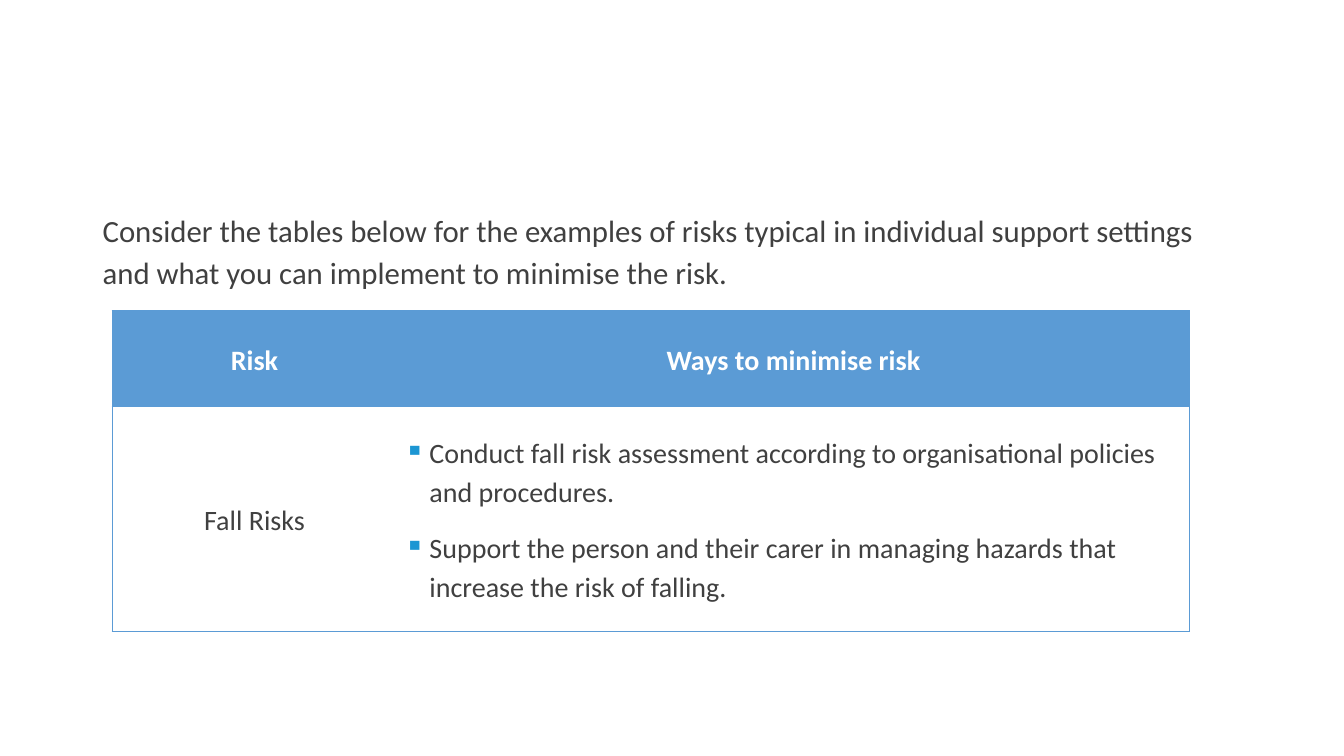
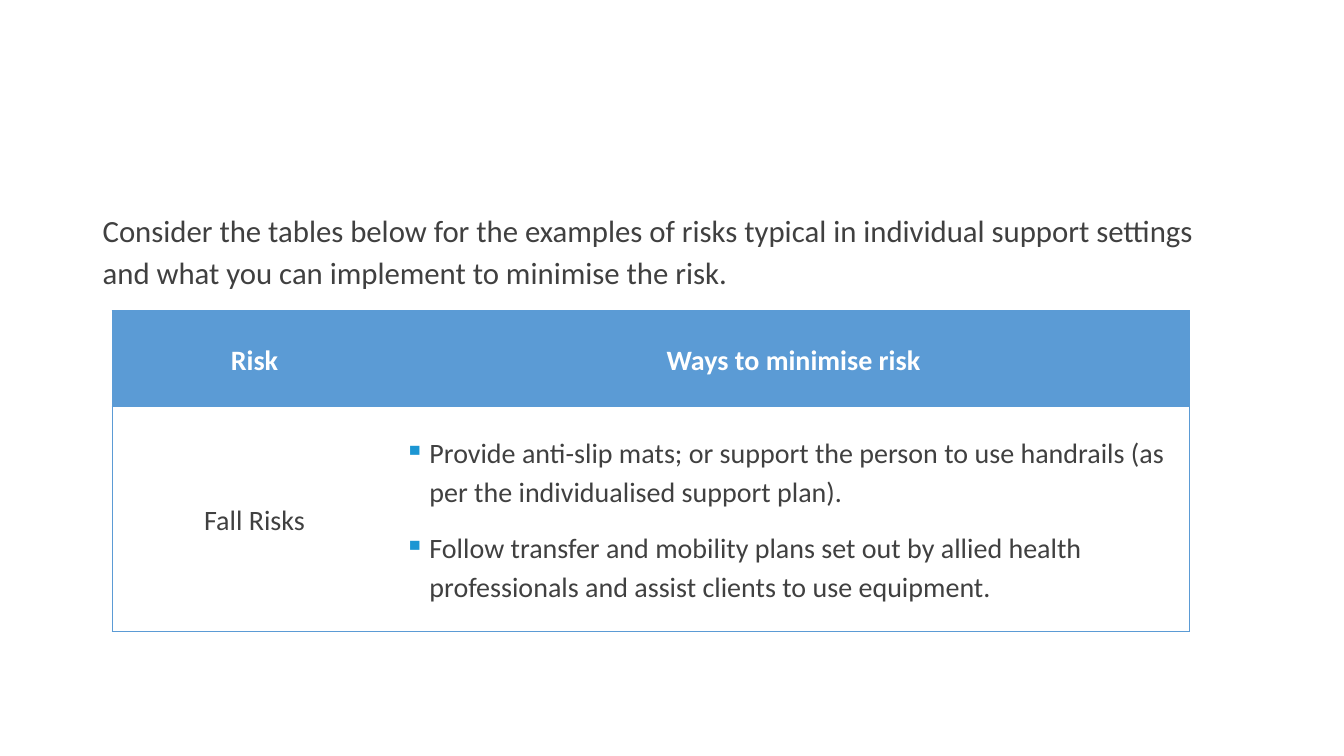
from lxml import etree
from pptx import Presentation
from pptx.dml.color import RGBColor
from pptx.enum.text import MSO_ANCHOR, PP_ALIGN
from pptx.oxml.ns import qn
from pptx.util import Inches, Pt

CENTER, LEFT = PP_ALIGN.CENTER, PP_ALIGN.LEFT
MIDDLE = MSO_ANCHOR.MIDDLE

FONT = "Calibri"
BLUE, WHITE, DARK, MARK = "5B9BD5", "FFFFFF", "404040", "1C96D3"

INTRO = ("Consider the tables below for the examples of risks typical in "
         "individual support settings and what you can implement to "
         "minimise the risk.")
HEADS = ["Risk", "Ways to minimise risk"]
RISK = "Fall Risks"
WAYS = [
    ["Conduct fall risk assessment according to organisational policies "
     "and procedures.",
     "Support the person and their carer in managing hazards that increase "
     "the risk of falling."],
    ["Provide anti-slip mats; or support the person to use handrails "
     "(as per the individualised support plan).",
     "Follow transfer and mobility plans set out by allied health "
     "professionals and assist clients to use equipment."],
]


def color(code):
    return RGBColor.from_string(code)


def add(parent, tag, **attrs):
    """Append an XML element with the given attributes."""
    node = etree.SubElement(parent, qn(tag))
    for name, value in attrs.items():
        node.set(name, str(value))
    return node


class Deck:
    """Holds the shared style and the current slide."""

    def __init__(self):
        self.show = Presentation()
        self.show.slide_width = Inches(13.33)
        self.show.slide_height = Inches(7.5)
        self.slide = None

    def page(self):
        self.slide = self.show.slides.add_slide(self.show.slide_layouts[6])

    def fill(self, frame, lines, size, tone=DARK, bold=False, align=LEFT,
             bullet=False):
        """Fill a text frame with one paragraph for each line."""
        for i, line in enumerate(lines):
            para = frame.paragraphs[0] if i == 0 else frame.add_paragraph()
            para.text = line
            para.alignment = align
            para.line_spacing = 1.14
            para.space_before = Pt(6 if i else 0)
            para.space_after = Pt(6)
            if bullet:
                self.mark(para)
            font = para.font
            font.name, font.size, font.bold = FONT, Pt(size), bold
            font.color.rgb = color(tone)

    def mark(self, para):
        """Give a paragraph a hanging square bullet."""
        props = para._p.get_or_add_pPr()
        props.set("marL", str(Inches(0.25)))
        props.set("indent", str(-Inches(0.25)))
        add(add(props, "a:buClr"), "a:srgbClr", val=MARK)
        add(props, "a:buChar", char="▪")

    def text(self, line, left, top, width, height):
        box = self.slide.shapes.add_textbox(
            Inches(left), Inches(top), Inches(width), Inches(height))
        box.text_frame.word_wrap = True
        self.fill(box.text_frame, [line], 22)

    def edge(self, cell, sides):
        """Draw the named cell sides in blue and clear the others."""
        props = cell._tc.get_or_add_tcPr()
        for side in "LRTB":
            line = add(props, f"a:ln{side}", w=Pt(0.5))
            if side in sides:
                add(add(line, "a:solidFill"), "a:srgbClr", val=BLUE)
            else:
                add(line, "a:noFill")

    def cell(self, cell, lines, sides, back=None, **style):
        cell.margin_left = cell.margin_right = Inches(0.07)
        cell.margin_top = cell.margin_bottom = 0
        cell.vertical_anchor = MIDDLE
        self.edge(cell, sides)
        if back:
            cell.fill.solid()
            cell.fill.fore_color.rgb = color(back)
        else:
            cell.fill.background()
        self.fill(cell.text_frame, lines, 20, **style)

    def table(self, ways, left, top, cols, rows):
        grid = self.slide.shapes.add_table(
            len(rows), len(cols), Inches(left), Inches(top),
            Inches(sum(cols)), Inches(sum(rows))).table
        grid.first_row = grid.horz_banding = False
        for col, width in zip(grid.columns, cols):
            col.width = Inches(width)
        for row, height in zip(grid.rows, rows):
            row.height = Inches(height)
        for i, (head, side) in enumerate(zip(HEADS, "LR")):
            self.cell(grid.cell(0, i), [head], side + "TB", back=BLUE,
                      tone=WHITE, bold=True, align=CENTER)
        self.cell(grid.cell(1, 0), [RISK], "LTB", align=CENTER)
        self.cell(grid.cell(1, 1), ways, "RTB", bullet=True)


def main():
    deck = Deck()
    for ways in WAYS:
        deck.page()
        deck.text(INTRO, 0.92, 2, 11.03, 4.76)
        deck.table(ways, 1.11, 3.08, [2.83, 7.86], [0.95, 2.23])
    deck.show.save("out.pptx")


if __name__ == "__main__":
    main()
